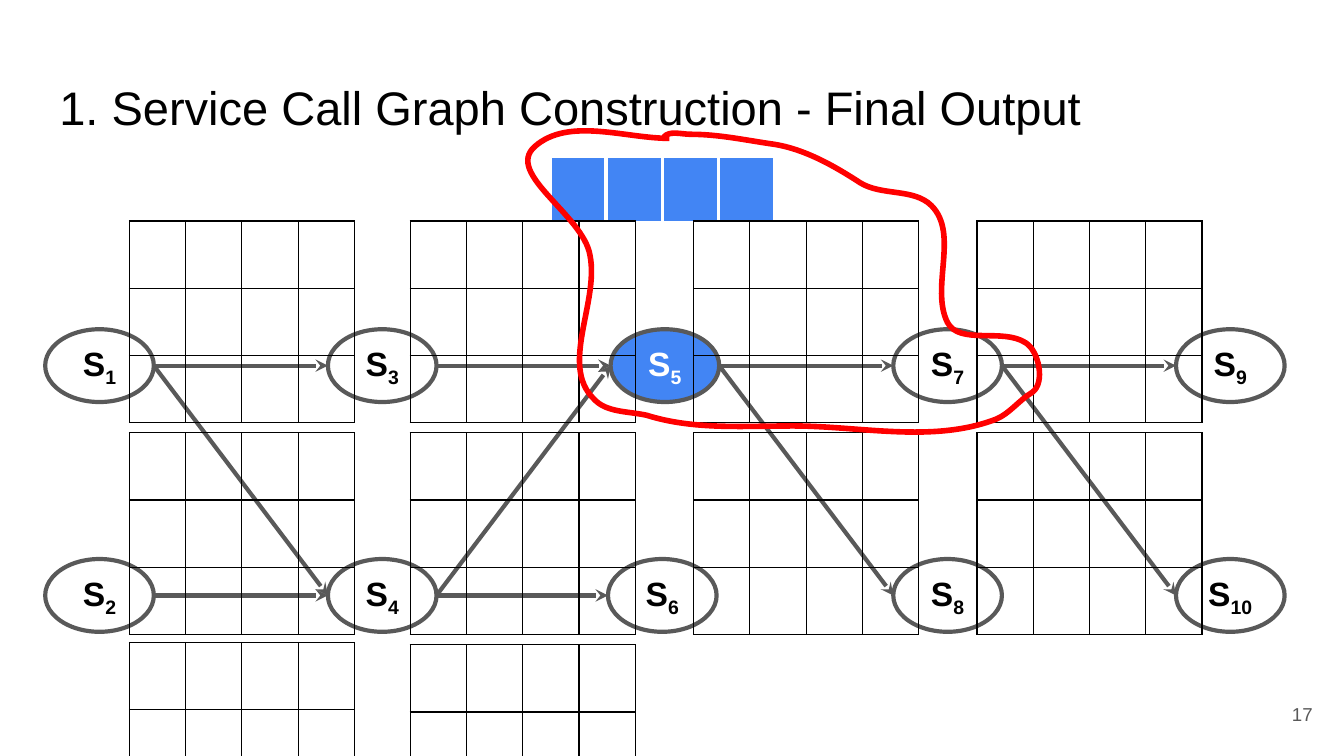
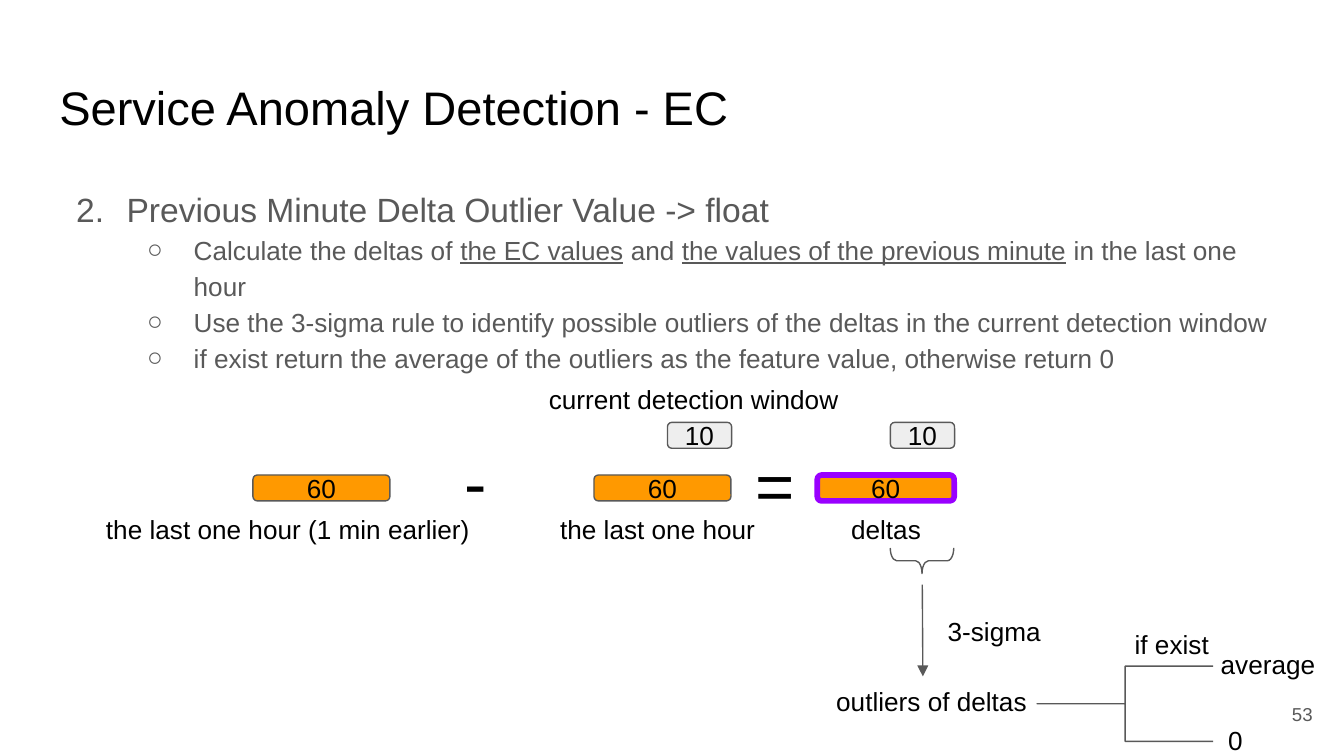
from dataclasses import dataclass
from itertools import product
from typing import Optional

from lxml import etree
from pptx import Presentation
from pptx.dml.color import RGBColor
from pptx.enum import shapes, text
from pptx.oxml import ns
from pptx.util import Pt

BLACK = RGBColor(0x00, 0x00, 0x00)
WHITE = RGBColor(0xFF, 0xFF, 0xFF)
GRAY = RGBColor(0x59, 0x59, 0x59)
LIGHT = RGBColor(0xEE, 0xEE, 0xEE)
BLUE = RGBColor(0x42, 0x85, 0xF4)
ORANGE = RGBColor(0xFF, 0x99, 0x00)
PURPLE = RGBColor(0x99, 0x00, 0xFF)
RED = RGBColor(0xFF, 0x00, 0x00)

FONT = "Arial"
INSET = 7.2
SHAPE = shapes.MSO_SHAPE
ALIGN = text.PP_ALIGN
ANCHOR = text.MSO_ANCHOR

NODE_W, NODE_H = 58.2, 39
NODE_LEFT, NODE_STEP = 24.2, 151.45
NODE_TOPS = (176.4, 299.5)
GRID_LEFTS = (69.3, 219.8, 371.6, 523.4)
GRID_TOPS = (118.4, 231.8)
GRID_SIZE = 236.2
CELL_W = 30.15


@dataclass(frozen=True)
class Node:
    label: str
    col: int
    row: int
    shift: float = 0
    fill: Optional[RGBColor] = None
    color: RGBColor = BLACK

    @property
    def left(self) -> float:
        return NODE_LEFT + self.col * NODE_STEP + self.shift

    @property
    def middle(self) -> float:
        return NODE_TOPS[self.row] + NODE_H / 2


@dataclass(frozen=True)
class Bar:
    label: str
    left: float
    top: float
    width: float
    fill: RGBColor
    line: RGBColor = GRAY
    weight: float = 0.75


@dataclass(frozen=True)
class Label:
    text: str
    left: float
    top: float
    width: float


NODES = {n.label: n for n in (
    Node("1", 0, 0), Node("2", 0, 1), Node("3", 1, 0), Node("4", 1, 1),
    Node("5", 2, 0, fill=BLUE, color=WHITE), Node("6", 2, 1, shift=-1.4),
    Node("7", 3, 0), Node("8", 3, 1), Node("9", 4, 0), Node("10", 4, 1),
)}
CALLS = ("1-3", "3-5", "5-7", "7-9", "2-4", "4-6", "1-4", "5-8", "7-10", "4-5")

LASSO_FRAME = (3.92, 0.98, 3.81, 2.24)
LASSO_START = (4.98, 1.03)
LASSO_CURVES = (
    (4.65, 1.03, 4.23, 0.87, 3.98, 1.09), (3.75, 1.29, 4.34, 1.6, 4.39, 1.9),
    (4.46, 2.25, 4.16, 2.72, 4.42, 2.97), (4.51, 3.07, 4.67, 3.06, 4.81, 3.09),
    (5.16, 3.2, 5.53, 3.17, 5.9, 3.17), (6.4, 3.17, 6.94, 3.3, 7.41, 3.12),
    (7.51, 3.08, 7.58, 2.98, 7.68, 2.92), (7.78, 2.85, 7.73, 2.61, 7.63, 2.55),
    (7.46, 2.44, 7.14, 2.57, 7.05, 2.4), (6.92, 2.14, 7.14, 1.74, 6.93, 1.53),
    (6.8, 1.4, 6.56, 1.46, 6.4, 1.36), (6.2, 1.23, 5.97, 1.1, 5.73, 1.07),
    (5.53, 1.04, 5.34, 1, 5.14, 1), (5.07, 1, 4.98, 0.97, 4.94, 1.02),
)

BARS = (
    Bar("60", 437.8, 254.5, 73.4, ORANGE, PURPLE, 3),
    Bar("60", 318.2, 254.5, 73.4, ORANGE),
    Bar("60", 135.5, 254.5, 73.4, ORANGE),
    Bar("10", 357.6, 226.3, 34.4, LIGHT),
    Bar("10", 477, 226.3, 34.4, LIGHT),
)
LABELS = (
    Label("current detection window", 286.9, 198.4, 181.4),
    Label("the last one hour (1 min earlier)", 49.7, 267.8, 243.4),
    Label("the last one hour", 293, 267.8, 125.3),
    Label("deltas", 448.9, 267.8, 69.8),
    Label("3-sigma", 500.6, 322.6, 69.8),
    Label("outliers of deltas", 440.9, 360, 125.3),
    Label("if exist", 600.8, 329.5, 69.8),
    Label("average", 646.9, 340.3, 69.8),
    Label("0", 650.9, 380.9, 27.4),
)
DETAILS = (
    (("Calculate the deltas of ", False), ("the EC values", True), (" and ", False),
     ("the values of the previous minute", True), (" in the last one hour", False)),
    (("Use the 3-sigma rule to identify possible outliers of the deltas "
      "in the current detection window", False),),
    (("if exist return the average of the outliers as the feature value, "
      "otherwise return 0", False),),
)


def add_xml(parent, tag: str, **attrs):
    el = etree.SubElement(parent, ns.qn(tag))
    for name, value in attrs.items():
        el.set(name, str(value))
    return el


def add_run(p, content: str, *, size: float = 14, color: RGBColor = BLACK,
            bold: bool = False, underline: bool = False, baseline: int = 0) -> None:
    r = p.add_run()
    r.text = content
    r.font.name = FONT
    r.font.size = Pt(size)
    r.font.color.rgb = color
    r.font.bold = bold
    r.font.underline = underline
    if baseline:
        r.font._element.set("baseline", str(baseline * 1000))


def set_margins(target) -> None:
    target.margin_left = target.margin_right = Pt(INSET)
    target.margin_top = target.margin_bottom = Pt(INSET)


def set_frame(tf, anchor=ANCHOR.TOP) -> None:
    tf.word_wrap = True
    tf.vertical_anchor = anchor
    set_margins(tf)


def add_box(slide, left: float, top: float, width: float, height: float,
            anchor=ANCHOR.TOP):
    tf = slide.shapes.add_textbox(Pt(left), Pt(top), Pt(width), Pt(height)).text_frame
    set_frame(tf, anchor)
    return tf


def set_bullet(p, left: float, hanging: float, color: RGBColor, tag: str, **attrs) -> None:
    pPr = p._p.get_or_add_pPr()
    pPr.set("marL", str(Pt(left)))
    pPr.set("indent", str(-Pt(hanging)))
    add_xml(add_xml(pPr, "a:buClr"), "a:srgbClr", val=color)
    add_xml(pPr, "a:buFont", typeface=FONT)
    add_xml(pPr, tag, **attrs)


def add_shape(slide, kind, left: float, top: float, width: float, height: float, *,
              fill: Optional[RGBColor] = None, line: RGBColor = GRAY,
              weight: float = 0.75, adjust: tuple = ()):
    sp = slide.shapes.add_shape(kind, Pt(left), Pt(top), Pt(width), Pt(height))
    style_shape(sp, fill, line, weight)
    for i, value in enumerate(adjust):
        sp.adjustments[i] = value
    set_frame(sp.text_frame, ANCHOR.MIDDLE)
    sp.text_frame.paragraphs[0].alignment = ALIGN.CENTER
    return sp


def style_shape(sp, fill: Optional[RGBColor], line: RGBColor, weight: float) -> None:
    sp.shadow.inherit = False
    if fill is None:
        sp.fill.background()
    else:
        sp.fill.solid()
        sp.fill.fore_color.rgb = fill
    sp.line.color.rgb = line
    sp.line.width = Pt(weight)


def add_arrow(slide, x1: float, y1: float, x2: float, y2: float,
              weight: float, head: str) -> None:
    cxn = slide.shapes.add_connector(shapes.MSO_CONNECTOR.STRAIGHT,
                                     Pt(x1), Pt(y1), Pt(x2), Pt(y2))
    cxn.line.color.rgb = GRAY
    cxn.line.width = Pt(weight)
    add_xml(cxn.line._get_or_add_ln(), "a:tailEnd", type=head)
    add_xml(cxn._element.spPr, "a:effectLst")


def add_node(slide, node: Node) -> None:
    sp = add_shape(slide, SHAPE.OVAL, node.left, NODE_TOPS[node.row], NODE_W, NODE_H,
                   fill=node.fill, weight=2.25)
    p = sp.text_frame.paragraphs[0]
    add_run(p, "S", size=18, color=node.color, bold=True)
    add_run(p, node.label, size=18, color=node.color, bold=True, baseline=-25)


def add_bar(slide, bar: Bar) -> None:
    sp = add_shape(slide, SHAPE.ROUNDED_RECTANGLE, bar.left, bar.top, bar.width, 13.9,
                   fill=bar.fill, line=bar.line, weight=bar.weight, adjust=(0.17,))
    add_run(sp.text_frame.paragraphs[0], bar.label)


def add_grid(slide, left: float, top: float, *, rows: int = 3, cols: int = 4,
             row_height: float = 17.3, border: RGBColor = BLACK, weight: float = 0.75,
             fill: Optional[RGBColor] = None) -> None:
    frame = slide.shapes.add_table(rows, cols, Pt(left), Pt(top),
                                   Pt(GRID_SIZE), Pt(GRID_SIZE))
    tbl = frame.table
    tbl.first_row = tbl.horz_banding = False
    for col in tbl.columns:
        col.width = Pt(CELL_W)
    for row in tbl.rows:
        row.height = Pt(row_height)
    frame.width = frame.height = Pt(GRID_SIZE)
    for cell in tbl.iter_cells():
        set_margins(cell)
        tcPr = cell._tc.get_or_add_tcPr()
        for side in ("a:lnL", "a:lnR", "a:lnT", "a:lnB"):
            ln = add_xml(tcPr, side, w=Pt(weight))
            add_xml(add_xml(ln, "a:solidFill"), "a:srgbClr", val=border)
        if fill is None:
            cell.fill.background()
        else:
            cell.fill.solid()
            cell.fill.fore_color.rgb = fill


def add_lasso(slide) -> None:
    left, top, width, height = (Pt(72 * v) for v in LASSO_FRAME)
    builder = slide.shapes.build_freeform(*(Pt(72 * v) for v in LASSO_START))
    builder.add_line_segments([(Pt(72 * c[4]), Pt(72 * c[5])) for c in LASSO_CURVES],
                              close=False)
    sp = builder.convert_to_shape()
    style_shape(sp, None, RED, 3)
    sp.left, sp.top, sp.width, sp.height = left, top, width, height
    outline = sp._element.find(".//" + ns.qn("a:path"))
    outline.set("w", str(width))
    outline.set("h", str(height))
    for step in list(outline):
        outline.remove(step)
    for coords in (LASSO_START, *LASSO_CURVES):
        step = add_xml(outline, "a:moveTo" if len(coords) == 2 else "a:cubicBezTo")
        for x, y in zip(coords[::2], coords[1::2]):
            add_xml(step, "a:pt", x=Pt(72 * x) - left, y=Pt(72 * y) - top)


def new_slide(prs, title: str, number: int):
    slide = prs.slides.add_slide(prs.slide_layouts[6])
    add_run(add_box(slide, 24.7, 35.1, 671, 45.1).paragraphs[0], title, size=25.2)
    p = add_box(slide, 667.1, 367.2, 43.2, 31, ANCHOR.MIDDLE).paragraphs[0]
    p.alignment = ALIGN.RIGHT
    add_run(p, str(number), size=10, color=GRAY)
    return slide


def build_call_graph(prs) -> None:
    slide = new_slide(prs, "1. Service Call Graph Construction - Final Output", 17)
    for node in NODES.values():
        add_node(slide, node)
    for call in CALLS:
        src, dst = (NODES[label] for label in call.split("-"))
        add_arrow(slide, src.left + NODE_W, src.middle, dst.left, dst.middle,
                  2.25, "stealth")
    add_grid(slide, 294.6, 83.6, rows=1, row_height=7.9, border=WHITE, weight=2.25,
             fill=BLUE)
    for left, top in product(GRID_LEFTS, GRID_TOPS):
        add_grid(slide, left, top)
    for left, top in zip(GRID_LEFTS, (344.2, 345.4)):
        add_grid(slide, left, top)
    add_lasso(slide)


def build_anomaly(prs) -> None:
    slide = new_slide(prs, "Service Anomaly Detection - EC", 53)
    p = add_box(slide, 241.5, 230.4, 246.2, 58.3).paragraphs[0]
    set_bullet(p, 156, 156, BLACK, "a:buChar", char="-")
    add_run(p, "=", size=36)

    tf = add_box(slide, 24.7, 90.9, 671, 269.3)
    p = tf.paragraphs[0]
    p.line_spacing = 1.15
    set_bullet(p, 36, 27, GRAY, "a:buAutoNum", type="arabicPeriod", startAt=2)
    add_run(p, "Previous Minute Delta Outlier Value -> float", size=18, color=GRAY)
    for detail in DETAILS:
        p = tf.add_paragraph()
        p.level = 1
        p.line_spacing = 1.15
        set_bullet(p, 72, 25, GRAY, "a:buChar", char="○")
        for content, underline in detail:
            add_run(p, content, color=GRAY, underline=underline)

    for bar in BARS:
        add_bar(slide, bar)
    for label in LABELS:
        tf = add_box(slide, label.left, label.top, label.width, 31.7)
        add_run(tf.paragraphs[0], label.text)
    add_arrow(slide, 494.1, 313.2, 494.4, 362.4, 0.75, "triangle")
    add_shape(slide, SHAPE.LEFT_BRACE, 555.6, 356.9, 94.3, 40.3, adjust=(0, 0.5))
    brace = add_shape(slide, SHAPE.LEFT_BRACE, 487.1, 283.4, 13.7, 34, adjust=(0.25, 0.5))
    brace.rotation = 270


def main() -> None:
    prs = Presentation()
    prs.slide_width, prs.slide_height = Pt(720), Pt(405)
    build_call_graph(prs)
    build_anomaly(prs)
    prs.save("out.pptx")


if __name__ == "__main__":
    main()
